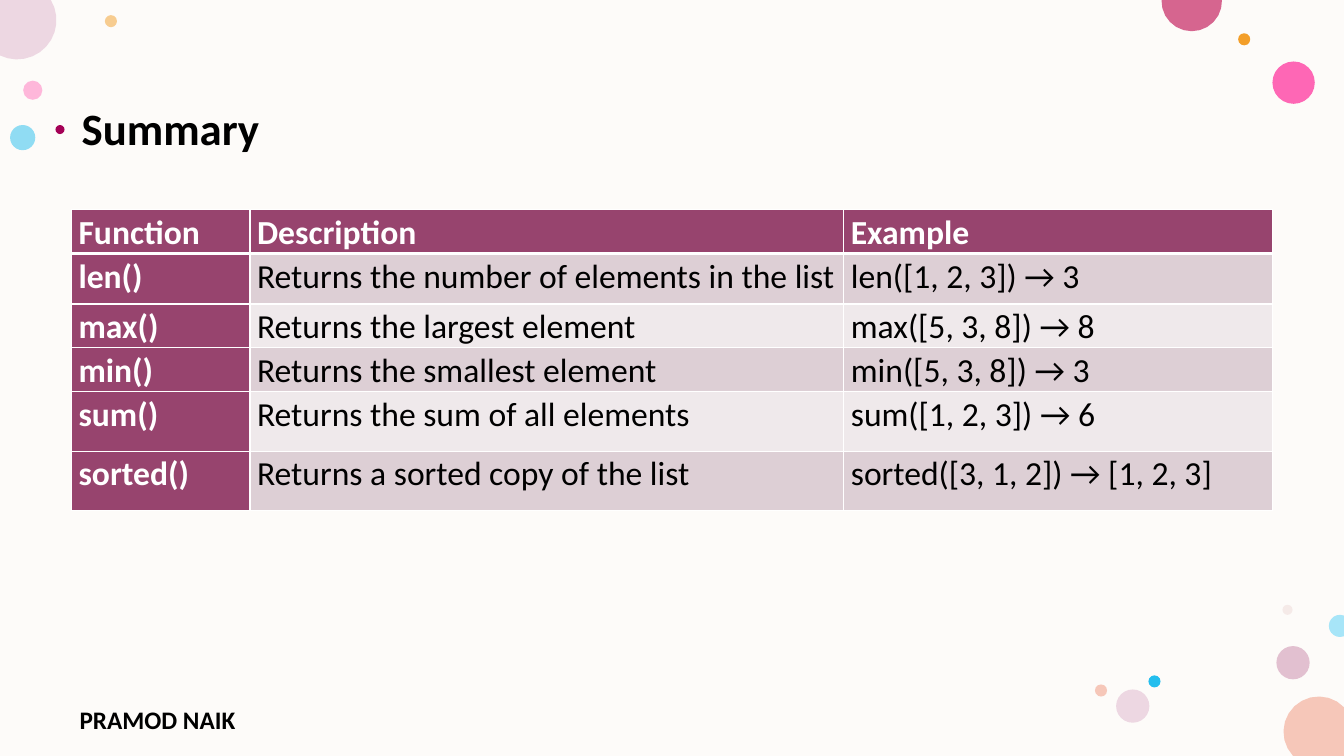
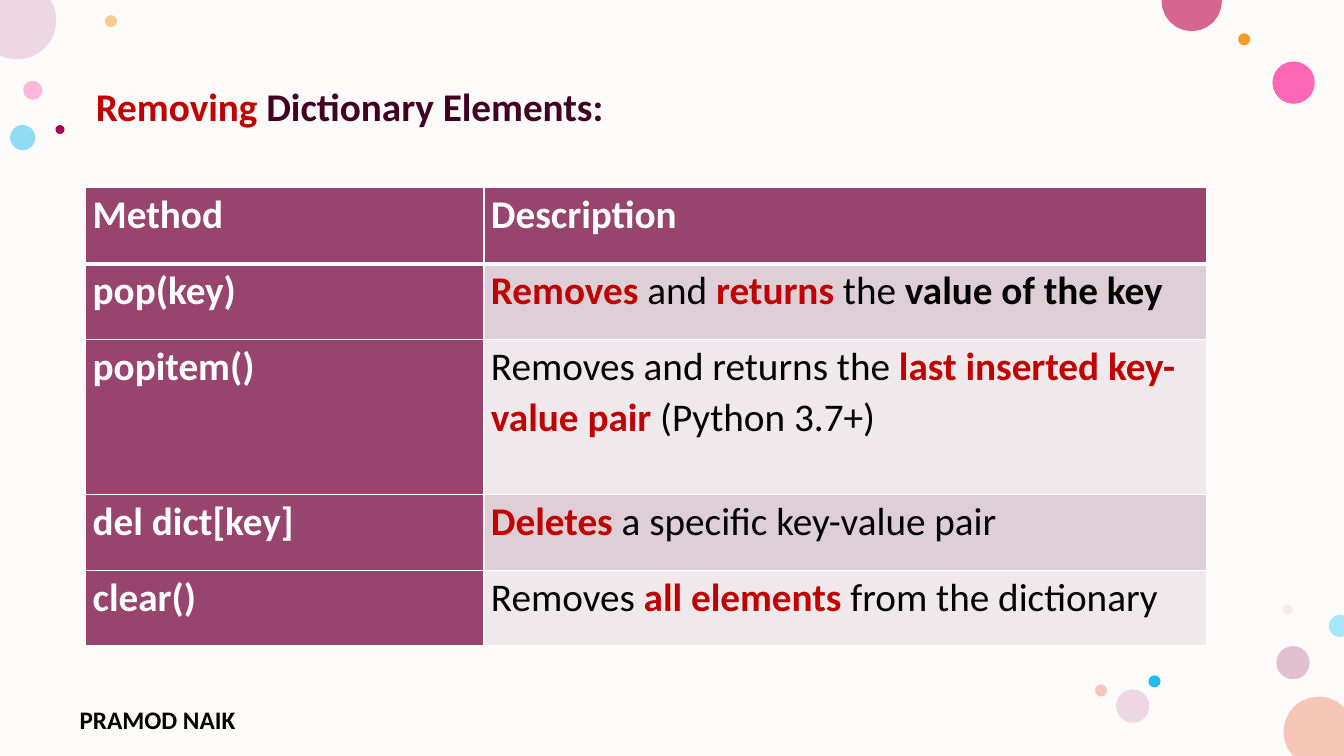
import math

from lxml import etree
from pptx import Presentation
from pptx.dml.color import RGBColor
from pptx.enum.shapes import MSO_SHAPE
from pptx.enum.text import MSO_ANCHOR, MSO_AUTO_SIZE, PP_ALIGN
from pptx.oxml.ns import qn
from pptx.util import Inches, Pt

OVAL, RECTANGLE = MSO_SHAPE.OVAL, MSO_SHAPE.RECTANGLE
TOP = MSO_ANCHOR.TOP
LEFT = PP_ALIGN.LEFT
NO_AUTOSIZE = MSO_AUTO_SIZE.NONE

SLIDE_WIDTH, SLIDE_HEIGHT = 13.33, 7.5
FONT = "Calibri"
BLACK, WHITE, RED, PLUM = "000000", "FFFFFF", "C00000", "420023"
BACKGROUND = "FDFBF9"
HEADER_FILL = "97446E"
BAND_FILLS = ("DDCFD5", "EFE9EB")

# left, top, diameter, colour, opacity in percent
DOTS = [
    (0.23, 0.8, 0.19, "FF75BD", 50),
    (1.04, 0.15, 0.12, "F39E29", 50),
    (12.66, 6.41, 0.33, "C987A8", 50),
    (0.1, 1.24, 0.25, "24BEEE", 50),
    (12.62, 0.61, 0.42, "FF2F9C", 72),
    (12.28, 0.33, 0.12, "F39E29", 100),
    (12.72, 6, 0.1, "E3BEBE", 28),
    (11.39, 6.7, 0.12, "24BEEE", 100),
    (11.07, 6.84, 0.33, "EDD7E2", 100),
    (10.86, 6.79, 0.12, "F6C7B9", 100),
    (0.55, 1.24, 0.09, "A40056", 100),
]
# centre x, centre y, radius, first and last angle of the arc, slide corners, colour
EDGE_DOTS = [
    (13.08, 7.26, 0.35, 137, 316, [(SLIDE_WIDTH, SLIDE_HEIGHT)], "F6C7B9"),
    (0.17, 0.2, 0.39, -31, 116, [(0, 0)], "EDD7E2"),
    (11.82, 0.01, 0.3, -2, 182, [], "D6658F"),
    (13.29, 6.21, 0.11, 69, 291, [], "A7E5F8"),
]

PLAIN, BOLD, KEYWORD = (BLACK, False), (BLACK, True), (RED, True)
HEADING = (WHITE, True)

LIST_FUNCTIONS = [
    ("Function", "Description", "Example"),
    ("len()", "Returns the number of elements in the list", "len([1, 2, 3]) → 3"),
    ("max()", "Returns the largest element", "max([5, 3, 8]) → 8"),
    ("min()", "Returns the smallest element", "min([5, 3, 8]) → 3"),
    ("sum()", "Returns the sum of all elements", "sum([1, 2, 3]) → 6"),
    ("sorted()", "Returns a sorted copy of the list", "sorted([3, 1, 2]) → [1, 2, 3]"),
]
REMOVAL_METHODS = [
    ("Method", "Description"),
    ("pop(key)", [("Removes", KEYWORD), (" and ", PLAIN), ("returns", KEYWORD),
                  (" the ", PLAIN), ("value of the key", BOLD)]),
    ("popitem()", [("Removes and returns the ", PLAIN),
                   ("last inserted key-value pair ", KEYWORD), ("(Python 3.7+)", PLAIN)]),
    ("del dict[key]", [("Deletes", KEYWORD), (" a specific key-value pair", PLAIN)]),
    ("clear()", [("Removes ", PLAIN), ("all elements ", KEYWORD),
                 ("from the dictionary", PLAIN)]),
]


def rgb(value):
    return RGBColor.from_string(value)


def inches(*lengths):
    return [Inches(length) for length in lengths]


def write_runs(paragraph, runs, size):
    paragraph.font.name = FONT
    paragraph.font.size = Pt(size)
    for text, (color, bold) in runs:
        run = paragraph.add_run()
        run.text = text
        run.font.name = FONT
        run.font.size = Pt(size)
        run.font.bold = bold
        run.font.color.rgb = rgb(color)


def paint(shape, color, opacity=100):
    shape.shadow.inherit = False
    shape.line.fill.background()
    shape.fill.solid()
    shape.fill.fore_color.rgb = rgb(color)
    if opacity < 100:
        color_element = shape.element.spPr.find(".//" + qn("a:srgbClr"))
        etree.SubElement(color_element, qn("a:alpha"), val=str(opacity * 1000))


def add_edge_dot(shapes, center_x, center_y, radius, first, last, corners, color):
    """Draw a circle cut off where it meets the slide edge."""
    segments = 12
    points = []
    for step in range(segments + 1):
        angle = math.radians(first + (last - first) * step / segments)
        x = center_x + radius * math.cos(angle)
        y = center_y + radius * math.sin(angle)
        points.append(inches(min(max(x, 0), SLIDE_WIDTH), min(max(y, 0), SLIDE_HEIGHT)))
    points += [inches(*corner) for corner in corners]
    builder = shapes.build_freeform(*points[0])
    builder.add_line_segments(points[1:])
    shape = builder.convert_to_shape()
    paint(shape, color)
    return shape


def add_preset(shapes, preset, box, color, opacity=100):
    shape = shapes.add_shape(preset, *inches(*box))
    paint(shape, color, opacity)
    return shape


def add_footer(shapes, box):
    footer = shapes.add_textbox(*inches(*box))
    footer.text_frame.word_wrap = True
    write_runs(footer.text_frame.paragraphs[0], [("PRAMOD NAIK", BOLD)], 18)
    return footer


def dress_layout(layout, slide):
    """Draw the shared decoration on the slide and move it to its layout."""
    title, *footers = layout.placeholders
    title.left, title.top, title.width, title.height = inches(0.71, 0.9, 11.8, 0.64)
    for placeholder in footers:
        layout.shapes.element.remove(placeholder.element)
    shapes = slide.shapes
    decoration = [add_preset(shapes, RECTANGLE, (0, 0, SLIDE_WIDTH, SLIDE_HEIGHT), BACKGROUND)]
    for left, top, diameter, color, opacity in DOTS:
        box = (left, top, diameter, diameter)
        decoration.append(add_preset(shapes, OVAL, box, color, opacity))
    decoration += [add_edge_dot(shapes, *dot) for dot in EDGE_DOTS]
    decoration.append(add_footer(shapes, (0.69, 6.94, 2.45, 0.32)))
    for shape in decoration:
        layout.shapes.element.append(shape.element)


def set_title(slide, box, runs, size, line_spacing):
    title = slide.shapes.title
    title.left, title.top, title.width, title.height = inches(*box)
    frame = title.text_frame
    frame.word_wrap = True
    frame.auto_size = NO_AUTOSIZE
    frame.vertical_anchor = TOP
    paragraph = frame.paragraphs[0]
    paragraph.alignment = LEFT
    paragraph.line_spacing = line_spacing
    write_runs(paragraph, runs, size)


def set_borders(cell, widths):
    properties = cell._tc.get_or_add_tcPr()
    for side in ("L", "R", "T", "B"):
        width = Pt(widths.get(side, 1))
        line = etree.SubElement(properties, qn("a:ln" + side), w=str(width))
        fill = etree.SubElement(line, qn("a:solidFill"))
        etree.SubElement(fill, qn("a:srgbClr"), val=WHITE)


def fill_cell(cell, content, row, column, size):
    is_heading = row == 0 or column == 0
    set_borders(cell, {0: {"B": 3}, 1: {"T": 3}}.get(row, {}))
    cell.fill.solid()
    cell.fill.fore_color.rgb = rgb(HEADER_FILL if is_heading else BAND_FILLS[(row - 1) % 2])
    cell.margin_left = cell.margin_right = Inches(0.07)
    cell.margin_top = cell.margin_bottom = 0
    paragraph = cell.text_frame.paragraphs[0]
    paragraph.line_spacing = 1.07
    paragraph.space_after = Pt(8)
    if isinstance(content, str):
        content = [(content, HEADING if is_heading else PLAIN)]
    write_runs(paragraph, content, size)


def add_reference_table(slide, left, top, column_widths, row_heights, rows, size):
    box = inches(left, top, sum(column_widths), sum(row_heights))
    table = slide.shapes.add_table(len(rows), len(column_widths), *box).table
    for column, width in zip(table.columns, column_widths):
        column.width = Inches(width)
    for row, height in zip(table.rows, row_heights):
        row.height = Inches(height)
    for row_index, contents in enumerate(rows):
        for column_index, content in enumerate(contents):
            cell = table.cell(row_index, column_index)
            fill_cell(cell, content, row_index, column_index, size)


def build_summary(slide):
    set_title(slide, (0.71, 0.95, 6.67, 0.64), [("Summary", BOLD)], 32, 1.0)
    add_reference_table(slide, 0.71, 2.08, (1.77, 5.89, 4.25),
                        (0.41, 0.5, 0.29, 0.29, 0.59, 0.59), LIST_FUNCTIONS, 24)


def build_removal(slide):
    title_runs = [("Removing", KEYWORD), (" Dictionary Elements:", (PLUM, True))]
    set_title(slide, (0.85, 0.82, 11.66, 0.64), title_runs, 28, 0.9)
    add_reference_table(slide, 0.85, 1.86, (3.95, 7.17),
                        (0.76, 0.75, 1.54, 0.75, 0.75), REMOVAL_METHODS, 28)


def main():
    presentation = Presentation()
    presentation.slide_width, presentation.slide_height = inches(SLIDE_WIDTH, SLIDE_HEIGHT)
    layout = presentation.slide_layouts[5]
    summary = presentation.slides.add_slide(layout)
    dress_layout(layout, summary)
    build_summary(summary)
    build_removal(presentation.slides.add_slide(layout))
    presentation.save("out.pptx")


if __name__ == "__main__":
    main()
